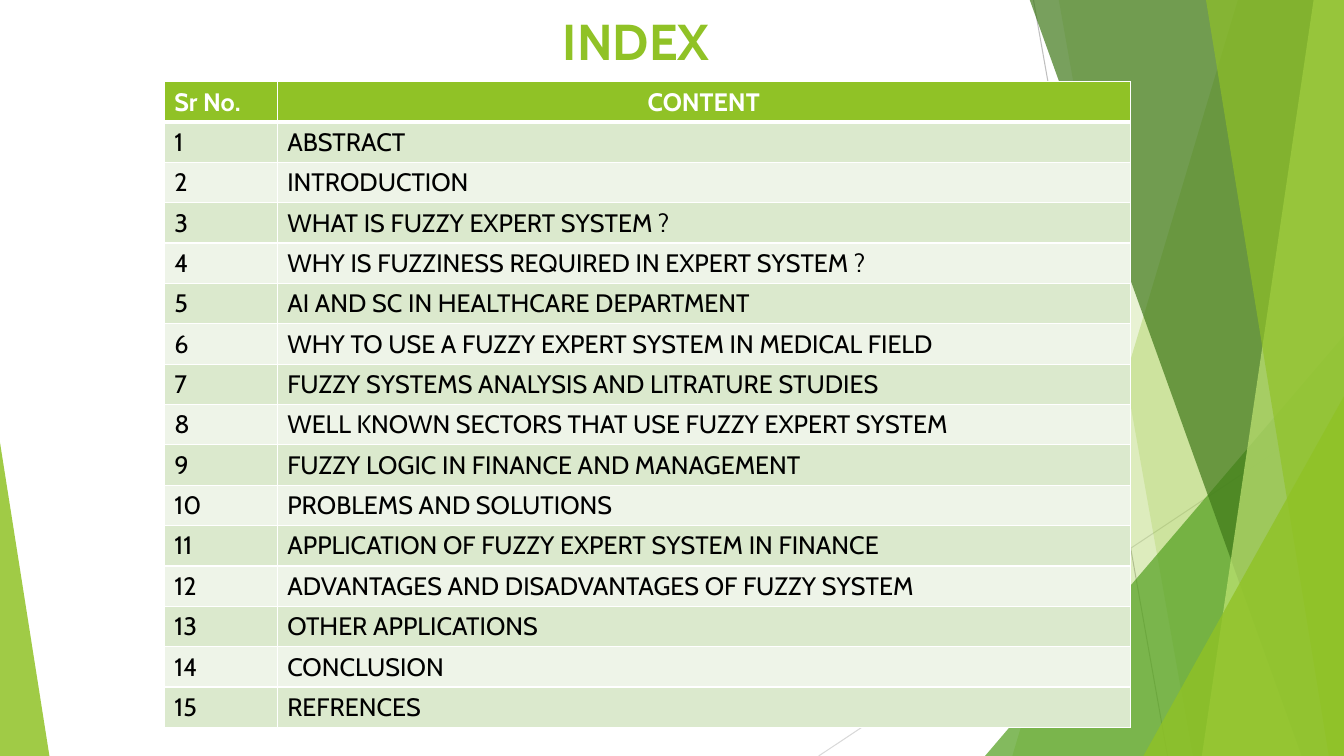
from lxml import etree
from pptx import Presentation
from pptx.dml.color import RGBColor
from pptx.enum.shapes import MSO_CONNECTOR, MSO_SHAPE
from pptx.enum.text import MSO_ANCHOR, PP_ALIGN
from pptx.oxml.ns import qn
from pptx.util import Inches, Pt

FONT = "Cabin"
LIME = RGBColor(0x90, 0xC2, 0x26)
GREEN = RGBColor(0x54, 0xA0, 0x21)
FOREST = RGBColor(0x3F, 0x78, 0x19)
PALE_LIME = RGBColor(0xC0, 0xE4, 0x74)
ODD_ROW = RGBColor(0xDB, 0xE9, 0xCD)
EVEN_ROW = RGBColor(0xEE, 0xF4, 0xE8)
SILVER = RGBColor(0xBF, 0xBF, 0xBF)
LIGHT_GREY = RGBColor(0xD9, 0xD9, 0xD9)
BLACK = RGBColor(0, 0, 0)
WHITE = RGBColor(0xFF, 0xFF, 0xFF)

WIDTH, HEIGHT = 13.33, 7.5
TITLE = "INDEX"
HEADINGS = ("Sr No.", "CONTENT")
TOPICS = [
    "ABSTRACT",
    "INTRODUCTION",
    "WHAT IS FUZZY EXPERT SYSTEM ?",
    "WHY IS FUZZINESS REQUIRED IN EXPERT SYSTEM ?",
    "AI AND SC IN HEALTHCARE DEPARTMENT",
    "WHY TO USE A FUZZY EXPERT SYSTEM IN MEDICAL FIELD",
    "FUZZY SYSTEMS ANALYSIS AND LITRATURE STUDIES",
    "WELL KNOWN SECTORS THAT USE FUZZY EXPERT SYSTEM",
    "FUZZY LOGIC IN FINANCE AND MANAGEMENT",
    "PROBLEMS AND SOLUTIONS",
    "APPLICATION OF FUZZY EXPERT SYSTEM IN FINANCE",
    "ADVANTAGES AND DISADVANTAGES OF FUZZY SYSTEM",
    "OTHER APPLICATIONS",
    "CONCLUSION",
    "REFRENCES",
]
COLUMN_WIDTHS = (1.12, 8.46)
ROW_HEIGHT = 0.4

# from, to, colour
HAIRLINES = [
    ((10.25, 0), (11.58, HEIGHT), SILVER),
    ((WIDTH, 4.03), (8.12, HEIGHT), LIGHT_GREY),
]
# Back to front. A band runs from its top x and bottom x to the right edge;
# a triangle has left, top, width and apex position.
FACETS = [
    ("band", (12.28, 10.04), LIME, 30),
    ("band", (10.5, 11.83), LIME, 20),
    ("triangle", (9.77, 3.33, 3.56, 1), GREEN, 72),
    ("band", (10.21, 12.91), FOREST, 70),
    ("band", (13.03, 11.92), PALE_LIME, 70),
    ("band", (11.96, 13.18), LIME, 65),
    ("triangle", (11.34, 3.93, 1.99, 1), LIME, 80),
    ("triangle", (0, 4.39, 0.49, 0), LIME, 85),
]


def add_hairline(shapes, start, end, color):
    line = shapes.add_connector(
        MSO_CONNECTOR.STRAIGHT, *(Inches(v) for v in start + end))
    line.line.color.rgb = color
    line.line.width = Pt(0.75)
    etree.SubElement(line._element.spPr, qn("a:effectLst"))


def add_band(shapes, top_x, bottom_x):
    top = Inches(-0.01)
    right, bottom = Inches(WIDTH), Inches(HEIGHT)
    builder = shapes.build_freeform(Inches(top_x), top)
    builder.add_line_segments(
        [(right, top), (right, bottom), (Inches(bottom_x), bottom)], close=True)
    return builder.convert_to_shape()


def add_triangle(shapes, left, top, width, apex):
    triangle = shapes.add_shape(
        MSO_SHAPE.ISOSCELES_TRIANGLE, Inches(left), Inches(top),
        Inches(width), Inches(HEIGHT - top))
    triangle.adjustments[0] = apex
    return triangle


def paint(facet, color, opacity):
    facet.shadow.inherit = False
    facet.line.fill.background()
    facet.fill.solid()
    facet.fill.fore_color.rgb = color
    solid = facet._element.spPr.find(qn("a:solidFill"))
    etree.SubElement(solid[0], qn("a:alpha"), val=str(opacity * 1000))


def write(paragraph, text, size, color, bold=False, align=PP_ALIGN.LEFT):
    paragraph.alignment = align
    run = paragraph.add_run()
    run.text = text
    run.font.name = FONT
    run.font.size = Pt(size)
    run.font.bold = bold
    run.font.color.rgb = color


def add_borders(cell, top, bottom):
    """Draw white cell borders; top and bottom widths are in points."""
    properties = cell._tc.get_or_add_tcPr()
    for side, width in (("L", 1), ("R", 1), ("T", top), ("B", bottom)):
        border = etree.SubElement(properties, qn(f"a:ln{side}"), w=str(Pt(width)))
        solid = etree.SubElement(border, qn("a:solidFill"))
        etree.SubElement(solid, qn("a:srgbClr"), val=str(WHITE))


def add_index(shapes):
    rows = [HEADINGS] + [(str(n), topic) for n, topic in enumerate(TOPICS, 1)]
    table = shapes.add_table(
        len(rows), len(HEADINGS), Inches(1.63), Inches(0.81),
        Inches(sum(COLUMN_WIDTHS)), Inches(ROW_HEIGHT * len(rows))).table
    for column, width in zip(table.columns, COLUMN_WIDTHS):
        column.width = Inches(width)
    for r, row in enumerate(rows):
        table.rows[r].height = Inches(ROW_HEIGHT)
        header = r == 0
        row_fill = LIME if header else ODD_ROW if r % 2 else EVEN_ROW
        for c, text in enumerate(row):
            cell = table.cell(r, c)
            add_borders(cell, 3 if r == 1 else 1, 3 if header else 1)
            cell.fill.solid()
            cell.fill.fore_color.rgb = row_fill
            write(cell.text_frame.paragraphs[0], text, 18,
                  WHITE if header else BLACK, header,
                  PP_ALIGN.CENTER if header and c == 1 else PP_ALIGN.LEFT)


def main():
    deck = Presentation()
    deck.slide_width, deck.slide_height = Inches(WIDTH), Inches(HEIGHT)
    shapes = deck.slides.add_slide(deck.slide_layouts[6]).shapes

    for start, end, color in HAIRLINES:
        add_hairline(shapes, start, end, color)
    makers = {"band": add_band, "triangle": add_triangle}
    for kind, geometry, color, opacity in FACETS:
        paint(makers[kind](shapes, *geometry), color, opacity)

    title = shapes.add_textbox(
        Inches(1.63), Inches(0.05), Inches(9.36), Inches(1.53)).text_frame
    title.word_wrap = True
    title.vertical_anchor = MSO_ANCHOR.TOP
    write(title.paragraphs[0], TITLE, 36, LIME, True, PP_ALIGN.CENTER)

    add_index(shapes)
    deck.save("out.pptx")


if __name__ == "__main__":
    main()
